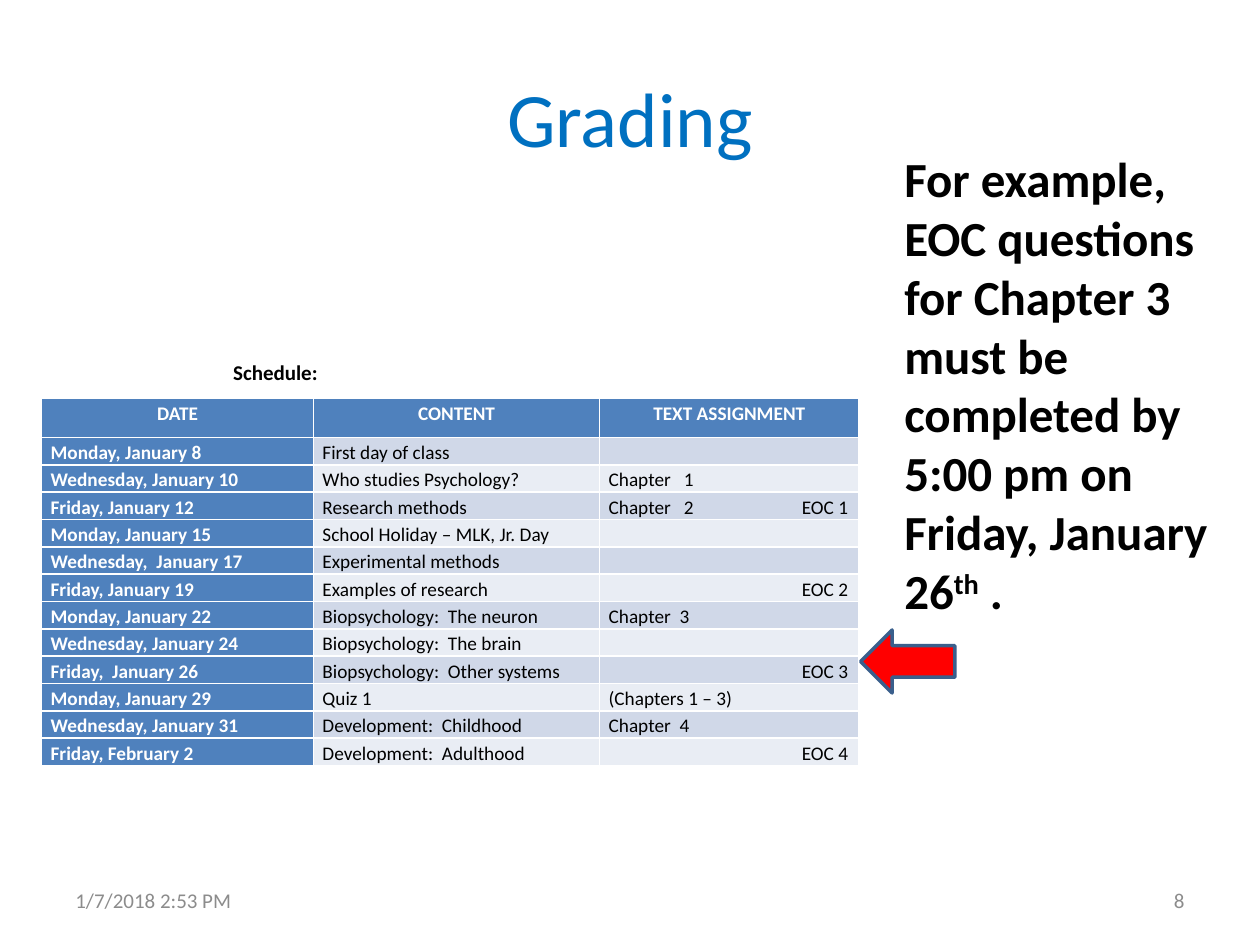
from dataclasses import dataclass
from typing import NamedTuple

from lxml import etree
from pptx import Presentation
from pptx import util as u
from pptx.dml.color import RGBColor
from pptx.enum import shapes, text
from pptx.oxml import ns


@dataclass(frozen=True)
class Theme:
    """Colours, type sizes and font of the slide."""
    font: str = "Calibri"
    title: str = "0070C0"
    ink: str = "000000"
    white: str = "FFFFFF"
    muted: str = "8C8C8C"
    header: str = "4F81BD"
    bands: tuple[str, str] = ("D0D8E8", "E9EDF4")
    arrow: str = "FF0000"
    arrow_edge: str = "3A5F8C"
    title_size: float = 44
    example_size: float = 28
    label_size: float = 12
    table_size: float = 11


class Session(NamedTuple):
    """One class meeting; a tab sets the EOC label to the right."""
    date: str
    content: str
    assignment: str = ""


class Box(NamedTuple):
    """Left, top, width and height in centimetres."""
    left: float
    top: float
    width: float
    height: float

    def lengths(self) -> list[u.Length]:
        """Return the four measures as lengths."""
        return [u.Cm(measure) for measure in self]


THEME = Theme()
HEADINGS = Session("DATE", "CONTENT", "TEXT ASSIGNMENT")
SESSIONS = [
    Session("Monday, January 8", "First day of class"),
    Session("Wednesday, January 10", "Who studies Psychology?", "Chapter   1"),
    Session("Friday, January 12", "Research methods", "Chapter   2\tEOC 1"),
    Session("Monday, January 15", "School Holiday – MLK, Jr. Day"),
    Session("Wednesday,  January 17", "Experimental methods"),
    Session("Friday, January 19", "Examples of research", "\tEOC 2"),
    Session("Monday, January 22", "Biopsychology:  The neuron", "Chapter  3"),
    Session("Wednesday, January 24", "Biopsychology:  The brain"),
    Session("Friday,  January 26", "Biopsychology:  Other systems", "\tEOC 3"),
    Session("Monday, January 29", "Quiz 1", "(Chapters 1 – 3)"),
    Session("Wednesday, January 31", "Development:  Childhood", "Chapter  4"),
    Session("Friday, February 2", "Development:  Adulthood", "\tEOC 4"),
]
COLUMN_WIDTHS = (5.48, 5.77, 5.23)
HEADER_HEIGHT, ROW_HEIGHT = 0.79, 0.55
EOC_TAB = 4.83


def write(paragraph, wording: str, *, size: float, color: str = THEME.ink,
          bold: bool = False, align=None, raised: bool = False) -> None:
    """Add a formatted run to a paragraph."""
    run = paragraph.add_run()
    run.text = wording
    run.font.name, run.font.size, run.font.bold = THEME.font, u.Pt(size), bold
    run.font.color.rgb = RGBColor.from_string(color)
    if align is not None:
        paragraph.alignment = align
    if raised:
        run._r.get_or_add_rPr().set("baseline", "30000")


def add_text_box(slide, box: Box, anchor=text.MSO_ANCHOR.MIDDLE):
    """Add a wrapping text box and return its text frame."""
    frame = slide.shapes.add_textbox(*box.lengths()).text_frame
    frame.word_wrap = True
    frame.vertical_anchor = anchor
    return frame


def fill_cell(cell, wording: str, fill: str, **style) -> None:
    """Fill a table cell and set its text."""
    cell.fill.solid()
    cell.fill.fore_color.rgb = RGBColor.from_string(fill)
    cell.margin_left = cell.margin_right = u.Cm(0.18)
    cell.margin_top = cell.margin_bottom = 0
    paragraph = cell.text_frame.paragraphs[0]
    paragraph.line_spacing = 1.15
    if "\t" in wording:
        tabs = etree.SubElement(paragraph._p.get_or_add_pPr(), ns.qn("a:tabLst"))
        etree.SubElement(tabs, ns.qn("a:tab"), pos=str(u.Cm(EOC_TAB)), algn="r")
    if wording:
        write(paragraph, wording, size=THEME.table_size, **style)
    else:
        ending = etree.SubElement(paragraph._p, ns.qn("a:endParaRPr"))
        ending.set("sz", str(int(THEME.table_size * 100)))


def add_schedule(slide, left: float, top: float) -> None:
    """Draw the table of class meetings."""
    box = Box(left, top, sum(COLUMN_WIDTHS),
              HEADER_HEIGHT + ROW_HEIGHT * len(SESSIONS))
    schedule = slide.shapes.add_table(
        len(SESSIONS) + 1, len(COLUMN_WIDTHS), *box.lengths()).table
    schedule.first_col = True
    for column, width in zip(schedule.columns, COLUMN_WIDTHS):
        column.width = u.Cm(width)
    for number, session in enumerate([HEADINGS, *SESSIONS]):
        is_header = number == 0
        schedule.rows[number].height = u.Cm(
            HEADER_HEIGHT if is_header else ROW_HEIGHT)
        for position, wording in enumerate(session):
            strong = is_header or position == 0
            fill_cell(
                schedule.cell(number, position), wording,
                THEME.header if strong else THEME.bands[(number - 1) % 2],
                color=THEME.white if strong else THEME.ink, bold=strong,
                align=text.PP_ALIGN.CENTER if is_header else None)


def add_title(slide, wording: str) -> None:
    """Place and format the title placeholder."""
    title = slide.shapes.title
    title.left, title.top, title.width, title.height = Box(
        1.27, 0.76, 22.86, 3.18).lengths()
    title.text_frame.vertical_anchor = text.MSO_ANCHOR.MIDDLE
    write(title.text_frame.paragraphs[0], wording, size=THEME.title_size,
          color=THEME.title, align=text.PP_ALIGN.CENTER)


def add_footers(slide) -> None:
    """Write the date on the left and the slide number on the right."""
    for left, wording, align in ((1.27, "1/7/2018 2:53 PM", text.PP_ALIGN.LEFT),
                                 (18.2, "8", text.PP_ALIGN.RIGHT)):
        footer = add_text_box(slide, Box(left, 17.65, 5.93, 1.01))
        write(footer.paragraphs[0], wording, size=THEME.label_size,
              color=THEME.muted, align=align)


def add_deadline_arrow(slide) -> None:
    """Point at the meeting when EOC 3 is due."""
    arrow = slide.shapes.add_shape(
        shapes.MSO_SHAPE.LEFT_ARROW, *Box(17.35, 12.7, 1.9, 1.27).lengths())
    arrow.shadow.inherit = False
    arrow.fill.solid()
    arrow.fill.fore_color.rgb = RGBColor.from_string(THEME.arrow)
    arrow.line.color.rgb = RGBColor.from_string(THEME.arrow_edge)
    arrow.line.width = u.Pt(2)


def add_example(slide) -> None:
    """Write the example deadline beside the table."""
    example = add_text_box(slide, Box(17.98, 2.87, 6.78, 9.83),
                           text.MSO_ANCHOR.TOP).paragraphs[0]
    for wording, raised in (
            ("For example, EOC questions for Chapter 3 must be completed by "
             "5:00 pm on Friday, January 26", False),
            ("th", True), (" .", False)):
        write(example, wording, size=THEME.example_size, bold=True, raised=raised)


def main() -> None:
    """Build and save the slide."""
    deck = Presentation()
    deck.slide_width, deck.slide_height = u.Cm(25.4), u.Cm(19.05)
    slide = deck.slides.add_slide(deck.slide_layouts.get_by_name("Title Only"))
    add_title(slide, "Grading")
    add_schedule(slide, 0.84, 8.03)
    add_footers(slide)
    label = add_text_box(slide, Box(4.45, 7.24, 20.95, 1.27), text.MSO_ANCHOR.TOP)
    label.margin_top = 0
    write(label.paragraphs[0], "Schedule:", size=THEME.label_size, bold=True)
    add_deadline_arrow(slide)
    add_example(slide)
    deck.save("out.pptx")


main()
